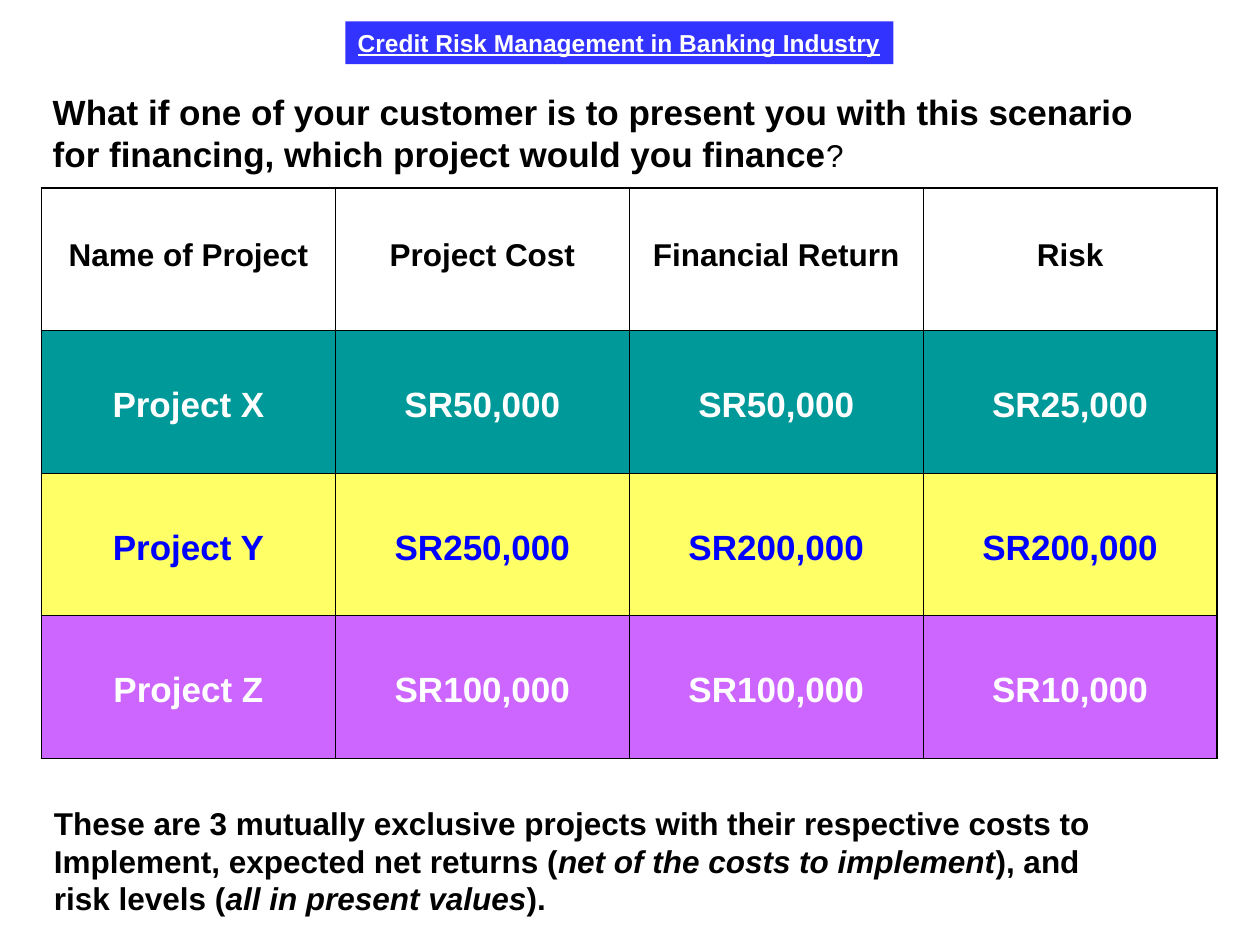
"""Build a slide that compares three projects by cost, return and risk."""
from lxml import etree
from pptx import Presentation
from pptx.dml.color import RGBColor
from pptx.enum.shapes import MSO_SHAPE
from pptx.enum.text import MSO_ANCHOR, PP_ALIGN
from pptx.oxml.ns import qn
from pptx.util import Inches, Pt

RECTANGLE = MSO_SHAPE.RECTANGLE
TOP = MSO_ANCHOR.TOP
LEFT, CENTER = PP_ALIGN.LEFT, PP_ALIGN.CENTER
BLACK, WHITE, BLUE = "000000", "FFFFFF", "0000FF"
THIN, THICK = 0.45, 1.08


def color(hex_string):
    return RGBColor.from_string(hex_string)


def add_run(paragraph, text, size, hex_string=BLACK, bold=True, italic=False):
    run = paragraph.add_run()
    run.text = text
    run.font.name = "Arial"
    run.font.size = Pt(size)
    run.font.bold = bold
    run.font.italic = italic
    run.font.color.rgb = color(hex_string)
    return run


presentation = Presentation()
presentation.slide_width = Inches(10)
presentation.slide_height = Inches(7.5)
slide = presentation.slides.add_slide(presentation.slide_layouts[6])

banner = slide.shapes.add_shape(
    RECTANGLE, Inches(2.74), Inches(0.17), Inches(4.35), Inches(0.34))
banner.shadow.inherit = False
banner.fill.solid()
banner.fill.fore_color.rgb = color("3333FF")
banner.line.fill.background()
banner.text_frame.word_wrap = False
banner.text_frame.vertical_anchor = TOP
banner_paragraph = banner.text_frame.paragraphs[0]
banner_paragraph.alignment = LEFT
banner_run = add_run(
    banner_paragraph, "Credit Risk Management in Banking Industry", 14, WHITE)
banner_run.font.underline = True

rows = [
    (["Name of Project", "Project Cost", "Financial Return", "Risk"], None, BLACK, 18, 0.4),
    (["Project X", "SR50,000", "SR50,000", "SR25,000"], "009999", WHITE, 20, 0.44),
    (["Project Y", "SR250,000", "SR200,000", "SR200,000"], "FFFF66", BLUE, 20, 0.44),
    (["Project Z", "SR100,000", "SR100,000", "SR10,000"], "CC66FF", WHITE, 20, 0.44),
]
row_count, column_count = len(rows), len(rows[0][0])
table = slide.shapes.add_table(
    row_count, column_count, Inches(0.33), Inches(1.49), Inches(9.33), Inches(4.53)).table
table.first_row = False
table.horz_banding = False
for row_index, (labels, fill, text_color, size, top_margin) in enumerate(rows):
    for column_index, label in enumerate(labels):
        cell = table.cell(row_index, column_index)
        cell.margin_top = Inches(top_margin)
        cell.vertical_anchor = TOP
        paragraph = cell.text_frame.paragraphs[0]
        paragraph.alignment = CENTER
        add_run(paragraph, label, size, text_color)
        outer_edges = {
            "a:lnL": column_index == 0,
            "a:lnR": column_index == column_count - 1,
            "a:lnT": row_index == 0,
            "a:lnB": row_index == row_count - 1,
        }
        properties = cell._tc.get_or_add_tcPr()
        for tag, is_outer in outer_edges.items():
            border = etree.SubElement(properties, qn(tag), w=str(Pt(THICK if is_outer else THIN)))
            border_fill = etree.SubElement(border, qn("a:solidFill"))
            etree.SubElement(border_fill, qn("a:srgbClr"), val=BLACK)
        if fill:
            cell.fill.solid()
            cell.fill.fore_color.rgb = color(fill)
        else:
            cell.fill.background()

explanation = [
    [("These are 3 mutually exclusive projects with their respective costs to", 18)],
    [("Implement, expected net returns (", 18),
     ("net of the costs to implement", 18, BLACK, True, True), ("), and", 18)],
    [("risk levels (", 18),
     ("all in present values", 18, BLACK, True, True), (").", 18)],
]
question = [
    [("What if one of your customer is to present you with this scenario", 20)],
    [("for financing, which project would you finance", 20), ("?", 18, BLACK, False)],
]
for left, top, width, height, wrap, lines in [
    (0.33, 6.33, 8.67, 1, True, explanation),
    (0.32, 0.67, 8.78, 0.77, False, question),
]:
    text_box = slide.shapes.add_textbox(
        Inches(left), Inches(top), Inches(width), Inches(height))
    text_frame = text_box.text_frame
    text_frame.word_wrap = wrap
    for line_index, line in enumerate(lines):
        paragraph = text_frame.add_paragraph() if line_index else text_frame.paragraphs[0]
        for run_values in line:
            add_run(paragraph, *run_values)

presentation.save("out.pptx")
